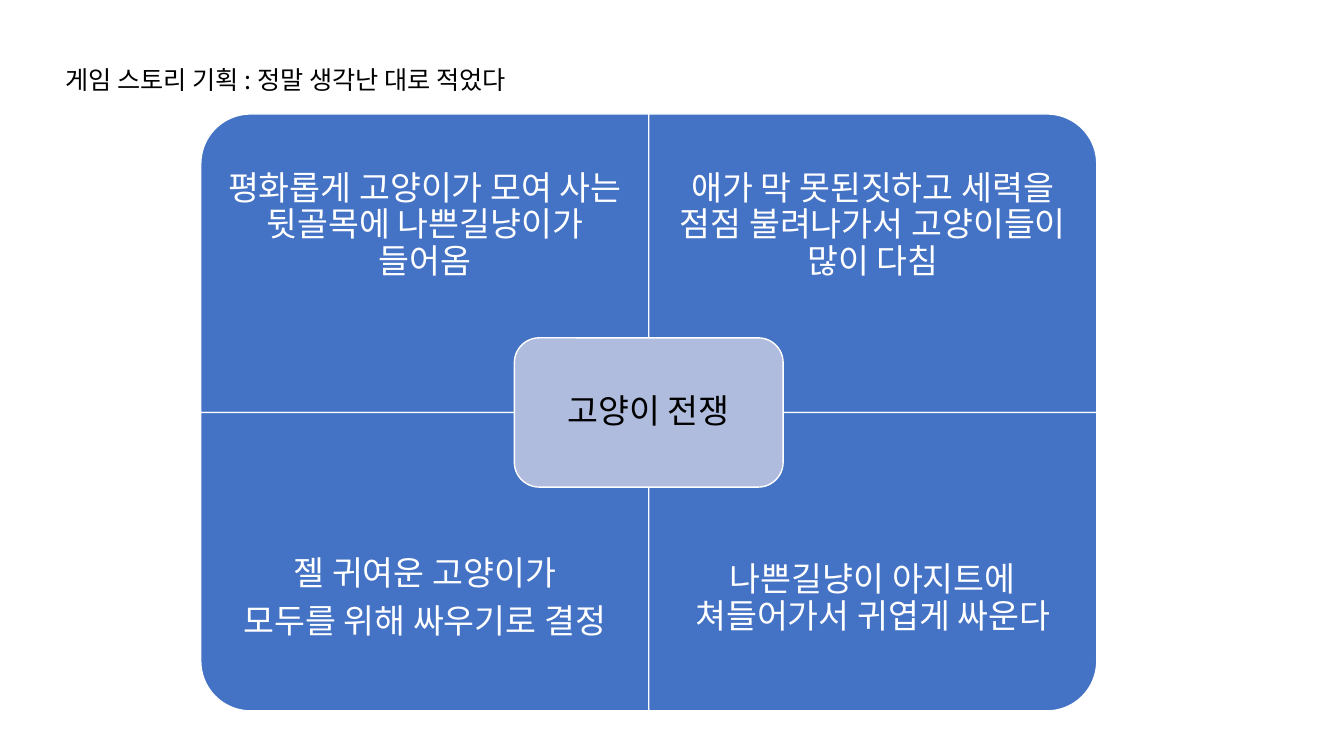
from lxml.etree import SubElement
from pptx import Presentation
from pptx.dml.color import RGBColor
from pptx.enum.shapes import MSO_SHAPE as Preset
from pptx.enum.text import MSO_ANCHOR as Anchor, MSO_AUTO_SIZE as AutoSize, PP_ALIGN as Align
from pptx.oxml.ns import qn
from pptx.util import Pt

WHITE = RGBColor(0xFF, 0xFF, 0xFF)
BLACK = RGBColor(0x00, 0x00, 0x00)
BLUE = RGBColor(0x44, 0x72, 0xC4)
PALE_BLUE = RGBColor(0xB0, 0xBC, 0xDE)

MATRIX_LEFT, MATRIX_TOP = 143.4, 81.4
PANEL_WIDTH, PANEL_HEIGHT = 320, 213.2
PANEL_TEXT_HEIGHT = PANEL_HEIGHT * 3 / 4
CENTER_WIDTH, CENTER_HEIGHT = PANEL_WIDTH * 0.6, PANEL_HEIGHT / 2

# Row, column, rotation that turns the round corner outwards, paragraphs
PANELS = [
    (0, 0, 270, ["평화롭게 고양이가 모여 사는 뒷골목에 나쁜길냥이가 들어옴"]),
    (0, 1, 0, ["애가 막 못된짓하고 세력을 점점 불려나가서 고양이들이 많이 다침"]),
    (1, 0, 180, ["젤 귀여운 고양이가", "모두를 위해 싸우기로 결정"]),
    (1, 1, 90, ["나쁜길냥이 아지트에 쳐들어가서 귀엽게 싸운다"]),
]


class StorySlide:
    font_name = "Noto Sans CJK KR"
    matrix_format = {"alignment": Align.CENTER, "line_spacing": 0.9, "space_after": Pt(8.4)}

    def __init__(self, presentation):
        self.slide = presentation.slides.add_slide(presentation.slide_layouts[6])

    def box(self, preset, left, top, width, height, fill, rotation=0):
        """Draw a white-edged box; left to height describe it as seen after rotation."""
        if rotation % 180:
            left, top = left + (width - height) / 2, top + (height - width) / 2
            width, height = height, width
        shape = self.slide.shapes.add_shape(preset, Pt(left), Pt(top), Pt(width), Pt(height))
        shape.rotation = rotation
        shape.shadow.inherit = False
        shape.fill.solid()
        shape.fill.fore_color.rgb = fill
        shape.line.color.rgb = WHITE
        shape.line.width = Pt(1)

    def text(self, left, top, width, height, lines, size, color, frame_format, paragraph_format):
        shape = self.slide.shapes.add_textbox(Pt(left), Pt(top), Pt(width), Pt(height))
        frame = shape.text_frame
        for name, value in frame_format.items():
            setattr(frame, name, value)
        for index, line in enumerate(lines):
            paragraph = frame.add_paragraph() if index else frame.paragraphs[0]
            for name, value in paragraph_format.items():
                setattr(paragraph, name, value)
            run = paragraph.add_run()
            run.text = line
            run.font.size = Pt(size)
            run.font.color.rgb = color
            run.font.name = self.font_name
            SubElement(run.font._element, qn("a:ea"), typeface=self.font_name)

    def matrix_text(self, left, top, width, height, lines, color, inset):
        frame_format = {"word_wrap": True, "vertical_anchor": Anchor.MIDDLE}
        for side in ("left", "top", "right", "bottom"):
            frame_format[f"margin_{side}"] = Pt(inset)
        self.text(left, top, width, height, lines, 24, color, frame_format, self.matrix_format)

    def panel(self, row, column, rotation, lines):
        left = MATRIX_LEFT + column * PANEL_WIDTH
        top = MATRIX_TOP + row * PANEL_HEIGHT
        self.box(Preset.ROUND_1_RECTANGLE, left, top, PANEL_WIDTH, PANEL_HEIGHT, BLUE, rotation)
        text_top = top + row * (PANEL_HEIGHT - PANEL_TEXT_HEIGHT)
        self.matrix_text(left, text_top, PANEL_WIDTH, PANEL_TEXT_HEIGHT, lines, WHITE, 13.44)

    def center(self, label):
        left = MATRIX_LEFT + PANEL_WIDTH - CENTER_WIDTH / 2
        top = MATRIX_TOP + PANEL_HEIGHT - CENTER_HEIGHT / 2
        self.box(Preset.ROUNDED_RECTANGLE, left, top, CENTER_WIDTH, CENTER_HEIGHT, PALE_BLUE)
        inset = 5.2
        self.matrix_text(left + inset, top + inset, CENTER_WIDTH - 2 * inset,
                         CENTER_HEIGHT - 2 * inset, [label], BLACK, 7.2)

    def heading(self, label):
        frame_format = {"word_wrap": False, "auto_size": AutoSize.SHAPE_TO_FIT_TEXT}
        self.text(39.6, 42.5, 373, 29, [label], 18, BLACK, frame_format, {})


def main():
    presentation = Presentation()
    presentation.slide_width, presentation.slide_height = Pt(960), Pt(540)
    story = StorySlide(presentation)
    for panel in PANELS:
        story.panel(*panel)
    story.center("고양이 전쟁")
    story.heading("게임 스토리 기획 : 정말 생각난 대로 적었다")
    presentation.save("out.pptx")


if __name__ == "__main__":
    main()
